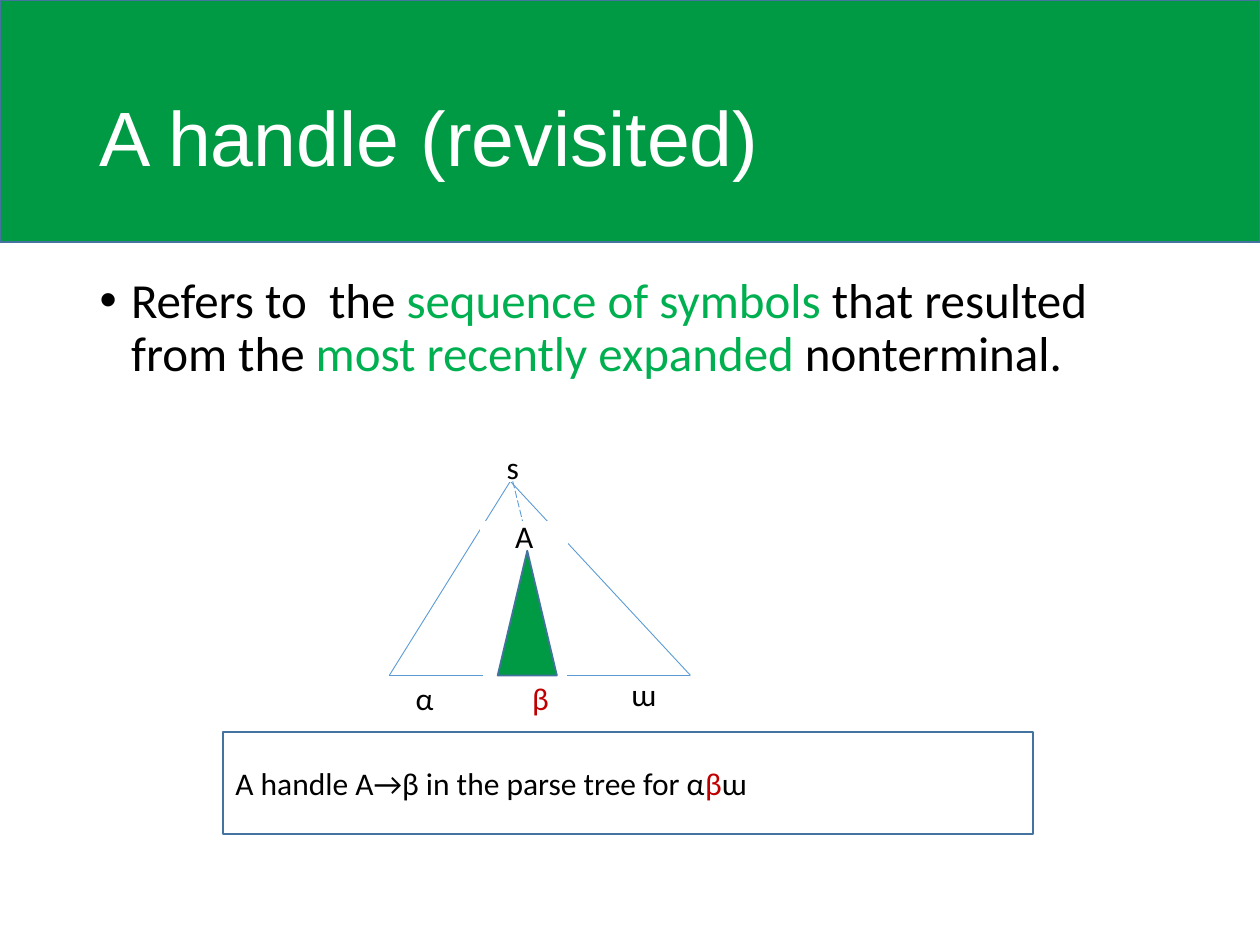
import pptx
import pptx.util
import pptx.dml.color
import pptx.enum.dml
import pptx.enum.shapes
import pptx.enum.text
from lxml import etree

COLORS = {
    "band": "009A44",
    "highlight": "00B050",
    "outline": "43739E",
    "edge": "5B9BD5",
    "beta": "C00000",
    "black": "000000",
    "white": "FFFFFF",
}
WIDTH, HEIGHT = pptx.util.Inches(10), pptx.util.Inches(7.5)
SHAPE = pptx.enum.shapes.MSO_SHAPE
ALIGN = pptx.enum.text.PP_ALIGN
MIDDLE = pptx.enum.text.MSO_ANCHOR.MIDDLE
TOP = pptx.enum.text.MSO_ANCHOR.TOP

# Parse tree geometry, in percent of the slide's width and height
APEX = (40.5, 50.93)
BASE_LEFT, BASE_RIGHT, BASE = 30.9, 54.8, 71.47
LABEL_SIZE = (6.8, 2.93)


def across(percent):
    return round(WIDTH * percent / 100)


def down(percent):
    return round(HEIGHT * percent / 100)


def place(left, top, width, height):
    return across(left), down(top), across(width), down(height)


def rgb(name):
    return pptx.dml.color.RGBColor.from_string(COLORS[name])


def write(target, *runs, size=18, font="Calibri", align=ALIGN.LEFT,
          anchor=MIDDLE, spacing=1.0, bullet=False):
    """Write (text, colour) runs as one paragraph."""
    frame = target.text_frame
    frame.word_wrap = True
    frame.auto_size = pptx.enum.text.MSO_AUTO_SIZE.NONE
    frame.vertical_anchor = anchor
    paragraph = frame.paragraphs[0]
    paragraph.alignment = align
    paragraph.line_spacing = spacing
    paragraph.space_before = pptx.util.Pt(0)
    if bullet:
        properties = paragraph._p.get_or_add_pPr()
        indent = pptx.util.Inches(0.25)
        properties.set("marL", str(indent))
        properties.set("indent", str(-indent))
        mark = etree.SubElement(properties, pptx.oxml.ns.qn("a:buChar"))
        mark.set("char", "•")
    for text, color in runs:
        run = paragraph.add_run()
        run.text = text
        run.font.size = pptx.util.Pt(size)
        run.font.name = font
        run.font.color.rgb = rgb(color)


def add_block(slide, kind, box, fill, line):
    block = slide.shapes.add_shape(kind, *place(*box))
    block.shadow.inherit = False
    block.fill.solid()
    block.fill.fore_color.rgb = rgb(fill)
    block.line.color.rgb = rgb(line)
    block.line.width = pptx.util.Pt(1)
    return block


def add_label(slide, left, top, symbol, color="black"):
    label = add_block(slide, SHAPE.RECTANGLE, (left, top, *LABEL_SIZE),
                      "white", "white")
    write(label, (symbol, color), align=ALIGN.CENTER)
    return label


def add_edge(slide, start, end):
    edge = slide.shapes.add_connector(
        pptx.enum.shapes.MSO_CONNECTOR.STRAIGHT,
        across(start[0]), down(start[1]), across(end[0]), down(end[1]))
    edge.line.color.rgb = rgb("edge")
    edge.line.width = pptx.util.Pt(0.5)
    etree.SubElement(edge._element.spPr, pptx.oxml.ns.qn("a:effectLst"))
    return edge


def add_header(slide):
    band = add_block(slide, SHAPE.RECTANGLE, (0, 0, 100, 25.6),
                     "band", "outline")
    # The band lies behind the title
    slide.shapes._spTree.insert(2, band._element)
    title = slide.shapes.title
    title.left, title.top, title.width, title.height = place(
        6.9, 5.33, 86.2, 19.33)
    write(title, ("A handle (revisited)", "white"), size=44, font="Arial",
          spacing=0.9)


def add_definition(slide):
    body = slide.placeholders[1]
    body.left, body.top, body.width, body.height = place(
        6.9, 28.53, 86.2, 61.6)
    write(body,
          ("Refers to  the ", "black"),
          ("sequence of symbols ", "highlight"),
          ("that resulted from the ", "black"),
          ("most recently expanded ", "highlight"),
          ("nonterminal.", "black"),
          size=28, anchor=TOP, spacing=0.9, bullet=True)


def add_parse_tree(slide):
    # Subtree of the handle
    add_block(slide, SHAPE.ISOSCELES_TRIANGLE, (39.5, 58.27, 4.7, 13.2),
              "band", "outline")
    # Sides and the two parts of the base
    for start, end in (
        (APEX, (BASE_LEFT, BASE)),
        (APEX, (BASE_RIGHT, BASE)),
        ((BASE_LEFT, BASE), (38.3, BASE)),
        ((45, BASE), (BASE_RIGHT, BASE)),
    ):
        add_edge(slide, start, end)
    # Root and its derivation down to A
    root = add_label(slide, 37.3, 48, "s")
    derivation = add_edge(slide, (40.7, APEX[1]), (41.8, 56.93))
    derivation.line.dash_style = pptx.enum.dml.MSO_LINE.LONG_DASH
    derivation.begin_connect(root, 2)
    # Leaves and the nonterminal
    add_label(slide, 30.3, 72.4, "α")
    add_label(slide, 39.5, 72.4, "β", "beta")
    add_label(slide, 47.7, 72, "ɯ")
    add_label(slide, 38.2, 55.2, "A")


def add_caption(slide):
    caption = add_block(slide, SHAPE.RECTANGLE, (17.7, 77.47, 64.3, 10.8),
                        "white", "outline")
    write(caption, ("A handle A→β in the parse tree for α", "black"),
          ("β", "beta"), ("ɯ", "black"))


def main():
    deck = pptx.Presentation()
    deck.slide_width, deck.slide_height = WIDTH, HEIGHT
    slide = deck.slides.add_slide(deck.slide_layouts[1])
    add_header(slide)
    add_definition(slide)
    add_parse_tree(slide)
    add_caption(slide)
    deck.save("out.pptx")


if __name__ == "__main__":
    main()
